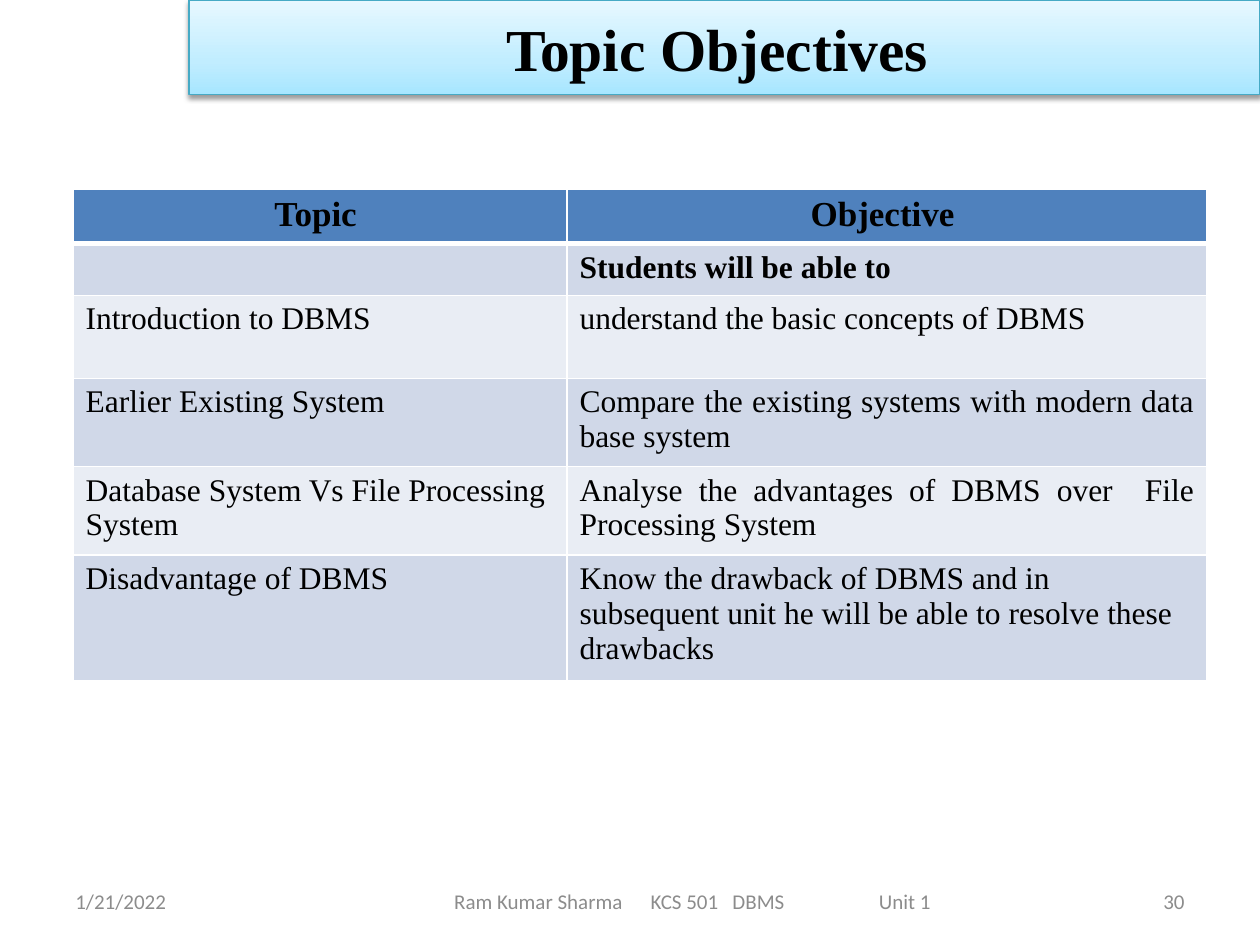
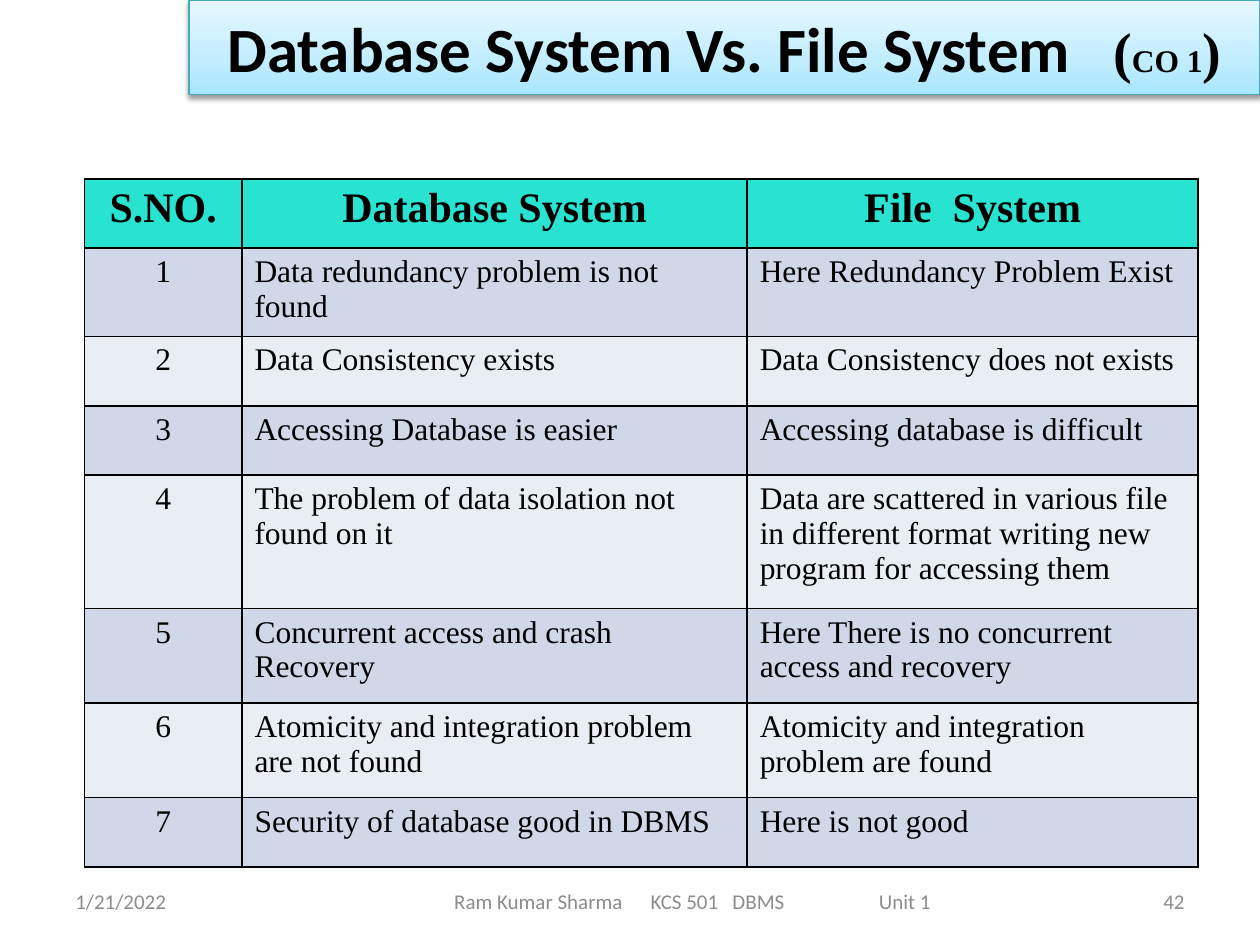
"""Build two DBMS lecture slides: topic objectives and a system comparison."""
from lxml import etree
from pptx import Presentation
from pptx.dml.color import RGBColor
from pptx.enum.text import MSO_ANCHOR, MSO_AUTO_SIZE, PP_ALIGN
from pptx.oxml import parse_xml
from pptx.oxml.ns import nsdecls
from pptx.util import Inches, Pt

LEFT, CENTER, RIGHT, JUSTIFY = PP_ALIGN.LEFT, PP_ALIGN.CENTER, PP_ALIGN.RIGHT, PP_ALIGN.JUSTIFY
MIDDLE = MSO_ANCHOR.MIDDLE
NO_AUTOFIT = MSO_AUTO_SIZE.NONE

SERIF, SANS = "Times New Roman", "Calibri"
COLORS = {
    "text": "000000", "footer": "8C8C8C", "white": "FFFFFF",
    "band_low": "A7E6FF", "band_mid": "C1EDFF", "band_high": "E7F8FF", "band_line": "46AAC5",
    "blue": "4F81BD", "teal": "29E3D1", "row_dark": "D0D8E8", "row_light": "E9EDF4",
}
RGB = {name: RGBColor.from_string(value) for name, value in COLORS.items()}

STOPS = "".join(
    f'<a:gs pos="{pos}000"><a:srgbClr val="{COLORS[name]}"/></a:gs>'
    for pos, name in ((0, "band_low"), (35, "band_mid"), (100, "band_high")))
GRADIENT = (f'<a:gradFill {nsdecls("a")} rotWithShape="1"><a:gsLst>{STOPS}</a:gsLst>'
            '<a:lin ang="16200000" scaled="0"/></a:gradFill>')
SHADOW = (f'<a:effectLst {nsdecls("a")}><a:outerShdw blurRad="{Pt(3.1)}" dist="{Pt(1.6)}" '
          f'dir="5400000" rotWithShape="0"><a:srgbClr val="{COLORS["text"]}">'
          '<a:alpha val="38000"/></a:srgbClr></a:outerShdw></a:effectLst>')


def add_slide(prs, title_runs, number):
    slide = prs.slides.add_slide(prs.slide_layouts[5])
    sp = slide.shapes.title
    sp.left, sp.top, sp.width, sp.height = Inches(1.5), 0, Inches(8.5), Inches(0.75)
    sp.line.color.rgb = RGB["band_line"]
    sp.line.width = Pt(0.75)
    ln = sp.line._get_or_add_ln()
    ln.addprevious(parse_xml(GRADIENT))
    ln.addnext(parse_xml(SHADOW))
    tf = sp.text_frame
    tf.auto_size, tf.vertical_anchor = NO_AUTOFIT, MIDDLE
    p = tf.paragraphs[0]
    p.alignment = CENTER
    for text, size, font in title_runs:
        r = p.add_run()
        r.text = text
        r.font.size, r.font.name, r.font.bold = Pt(size), font, True
        r.font.color.rgb = RGB["text"]

    footers = (
        (0.5, 2.33, LEFT, "1/21/2022"),
        (2.75, 5.5, CENTER, "Ram Kumar Sharma      KCS 501   DBMS                    Unit 1"),
        (7.17, 2.33, RIGHT, str(number)),
    )
    for left, width, align, text in footers:
        sp = slide.shapes.add_textbox(Inches(left), Inches(6.95), Inches(width), Inches(0.4))
        tf = sp.text_frame
        tf.word_wrap, tf.vertical_anchor = True, MIDDLE
        p = tf.paragraphs[0]
        p.text, p.alignment = text, align
        p.font.size, p.font.name = Pt(12), SANS
        p.font.color.rgb = RGB["footer"]
    return slide


def add_grid(slide, left, top, widths, heights, rows, header, header_size, border, rule):
    table = slide.shapes.add_table(
        len(rows), len(widths), Inches(left), Inches(top),
        Inches(sum(widths)), Inches(sum(heights))).table
    table.first_row = table.horz_banding = False
    for column, width in zip(table.columns, widths):
        column.width = Inches(width)
    for i, (texts, height) in enumerate(zip(rows, heights)):
        table.rows[i].height = Inches(height)
        for j, text in enumerate(texts):
            cell = table.cell(i, j)
            tcPr = cell._tc.get_or_add_tcPr()
            for side in "LRTB":
                heavy = (i, side) in ((0, "B"), (1, "T"))
                ln = etree.SubElement(tcPr, f"{{{tcPr.nsmap['a']}}}ln{side}",
                                      w=str(Pt(rule if heavy else 1)))
                ln.append(parse_xml(f'<a:solidFill {nsdecls("a")}>'
                                    f'<a:srgbClr val="{COLORS[border]}"/></a:solidFill>'))
            cell.fill.solid()
            cell.fill.fore_color.rgb = RGB[header if i == 0 else ("row_light", "row_dark")[i % 2]]
            p = cell.text_frame.paragraphs[0]
            p.text, p.alignment = text, CENTER if i == 0 else LEFT
            p.font.size, p.font.name = Pt(header_size if i == 0 else 18), SERIF
            p.font.bold = i == 0
            p.font.color.rgb = RGB["text"]
    return table


prs = Presentation()
prs.slide_width, prs.slide_height = Inches(10), Inches(7.5)

slide = add_slide(prs, [("Topic Objectives ", 34, SERIF)], 30)
objectives = [
    ("Topic ", "Objective "),
    ("", "Students will be able to"),
    ("Introduction to DBMS", "understand the basic concepts of DBMS "),
    ("Earlier Existing System", "Compare the existing systems with modern data base system "),
    ("Database System Vs File Processing System",
     "Analyse the advantages of DBMS over  File Processing System"),
    ("Disadvantage of DBMS",
     "Know the drawback of DBMS and in subsequent unit he will be able to resolve these drawbacks"),
]
table = add_grid(slide, 0.58, 1.5, [3.92, 5.08], [0.4, 0.41, 0.66, 0.65, 0.66, 0.92],
                 objectives, "blue", 20, "white", 3)
table.cell(1, 1).text_frame.paragraphs[0].font.bold = True
for i in range(2, 5):
    table.cell(i, 1).text_frame.paragraphs[0].alignment = JUSTIFY

slide = add_slide(prs, [("Database System Vs. File System   ", 36, SANS), ("(", 32, SERIF),
                        ("CO 1", 18, SERIF), (")", 32, SERIF)], 42)
comparison = [
    ("S.NO.", "Database System", "File  System"),
    ("1", "Data redundancy problem is not found", "Here Redundancy Problem Exist"),
    ("2", "Data Consistency exists", "Data Consistency does not exists"),
    ("3", "Accessing Database is easier", "Accessing database is difficult"),
    ("4", "The problem of data isolation not found on it",
     "Data are scattered in various file in different format writing new program "
     "for accessing them"),
    ("5", "Concurrent access and crash Recovery", "Here There is no concurrent access and recovery"),
    ("6", "Atomicity and integration problem are not found",
     "Atomicity and integration problem are found"),
    ("7", "Security of database good in DBMS", "Here is not good"),
]
table = add_grid(slide, 0.67, 1.42, [1.25, 4.01, 3.58],
                 [0.55, 0.65, 0.55, 0.55, 1.06, 0.75, 0.75, 0.55],
                 comparison, "teal", 24, "text", 1)
for i in range(1, len(comparison)):
    table.cell(i, 0).text_frame.paragraphs[0].alignment = CENTER

prs.save("out.pptx")
